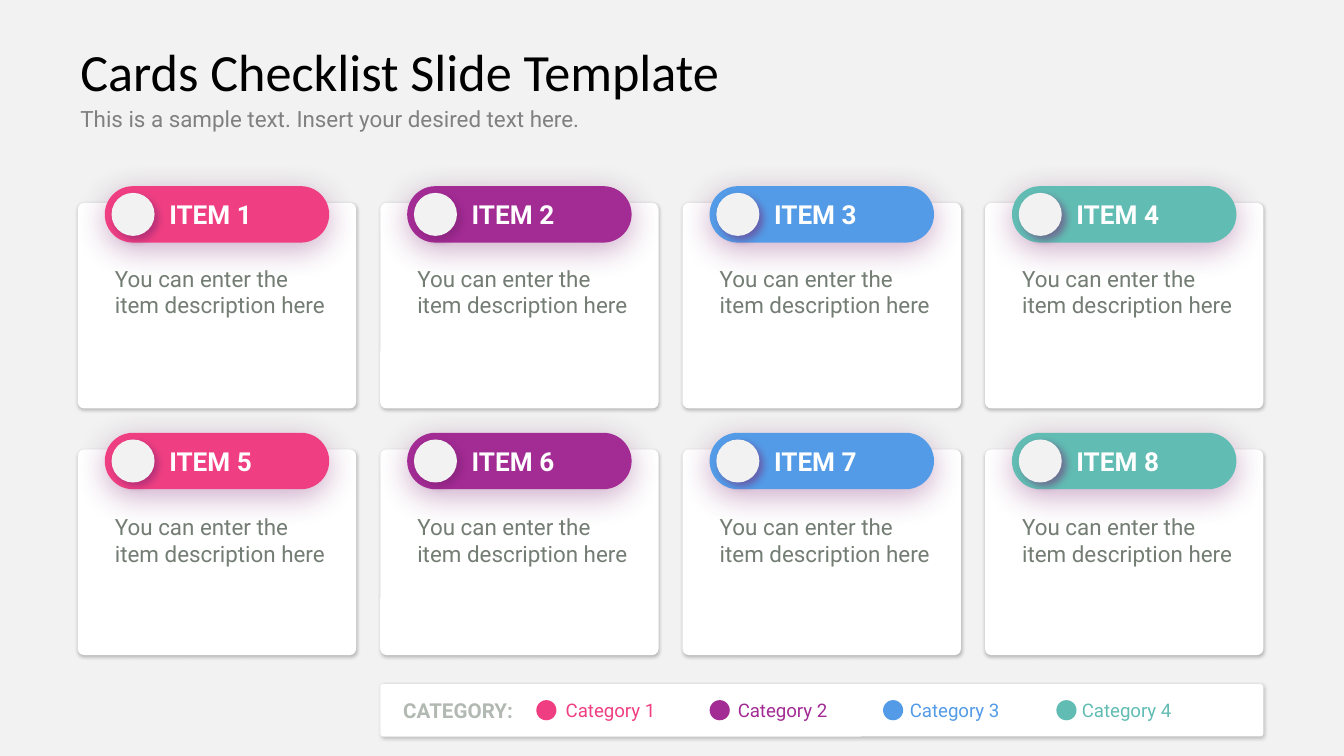
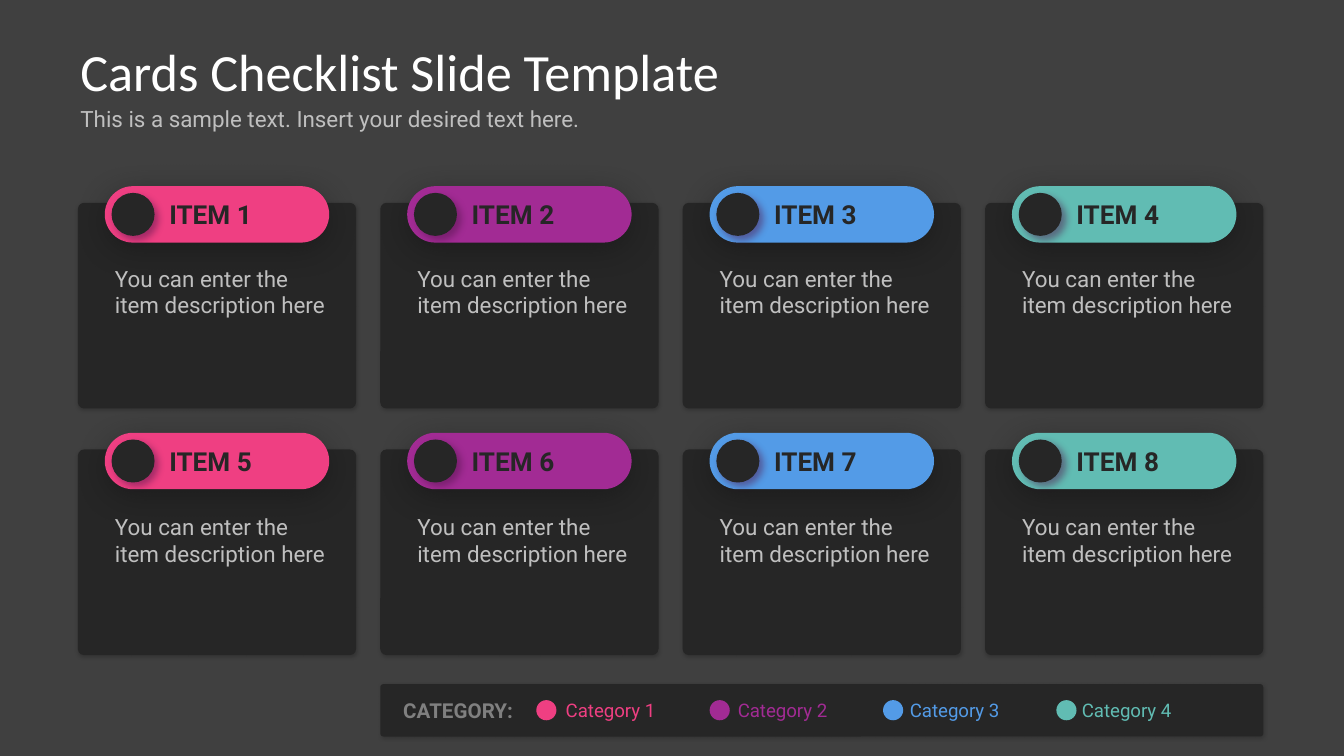
from dataclasses import dataclass

from lxml import etree
from pptx import Presentation
from pptx.dml.color import RGBColor
from pptx.enum.shapes import MSO_SHAPE
from pptx.enum.text import MSO_ANCHOR, MSO_AUTO_SIZE
from pptx.oxml.ns import qn
from pptx.util import Inches, Pt

ROUNDED = MSO_SHAPE.ROUNDED_RECTANGLE
CIRCLE = MSO_SHAPE.OVAL
TOP, MIDDLE = MSO_ANCHOR.TOP, MSO_ANCHOR.MIDDLE
GROW = MSO_AUTO_SIZE.SHAPE_TO_FIT_TEXT

BLACK = RGBColor(0x00, 0x00, 0x00)
INK = RGBColor(0x0D, 0x0D, 0x0D)
CHARCOAL = RGBColor(0x26, 0x26, 0x26)
DARK_GREY = RGBColor(0x40, 0x40, 0x40)
GREY = RGBColor(0x80, 0x80, 0x80)
SILVER = RGBColor(0xBF, 0xBF, 0xBF)
SAGE = RGBColor(0x74, 0x7D, 0x74)
PALE_SAGE = RGBColor(0xB2, 0xB8, 0xB2)
OFF_WHITE = RGBColor(0xF1, 0xF2, 0xF1)
WHITE = RGBColor(0xFF, 0xFF, 0xFF)
PLUM = RGBColor(0x7A, 0x20, 0x6F)
DARK_PLUM = RGBColor(0x51, 0x15, 0x4A)
PINK = RGBColor(0xEF, 0x3F, 0x82)
PURPLE = RGBColor(0xA2, 0x2B, 0x94)
BLUE = RGBColor(0x53, 0x9B, 0xE7)
TEAL = RGBColor(0x61, 0xBC, 0xB3)
CATEGORY_COLORS = (PINK, PURPLE, BLUE, TEAL)

TITLE_FONT = "Calibri"
BODY_FONT = "Roboto"

# The slide is a grid of 100 columns by 56.25 rows of square cells.
COLUMNS, ROWS = 100, 56.25
CELL = Inches(0.1)
CARD_LEFT, CARD_TOP = 5.8, 15.1
CARD_WIDTH, CARD_HEIGHT = 20.7, 15.3
CARD_STEP, CARD_DROP = 22.5, 18.35
DESCRIPTION_TOP, DESCRIPTION_DROP = 19.7, 18.5
LEGEND_TOP, LEGEND_LEFT = 50.9, CARD_LEFT + CARD_STEP


@dataclass
class Theme:
    background: RGBColor
    title: RGBColor
    subtitle: RGBColor
    card: RGBColor
    knob: RGBColor
    item: RGBColor
    description: RGBColor
    legend: RGBColor
    card_shadow: RGBColor
    pill_shadow: RGBColor
    knob_shadow: RGBColor


LIGHT = Theme(
    background=OFF_WHITE, title=BLACK, subtitle=GREY, card=WHITE,
    knob=OFF_WHITE, item=WHITE, description=SAGE, legend=PALE_SAGE,
    card_shadow=BLACK, pill_shadow=PLUM, knob_shadow=PLUM,
)
DARK = Theme(
    background=DARK_GREY, title=WHITE, subtitle=SILVER, card=CHARCOAL,
    knob=CHARCOAL, item=CHARCOAL, description=SILVER, legend=GREY,
    card_shadow=INK, pill_shadow=INK, knob_shadow=DARK_PLUM,
)


def cells(*lengths):
    return [round(length * CELL) for length in lengths]


def add_shadow(shape, color, opacity, blur, distance, angle):
    """Cast an outer shadow: opacity in percent, lengths in points, angle in degrees."""
    effects = shape.element.spPr.find(qn("a:effectLst"))
    shadow = etree.SubElement(
        effects, qn("a:outerShdw"), blurRad=str(Pt(blur)), dist=str(Pt(distance)),
        dir=str(angle * 60000), rotWithShape="0",
    )
    shade = etree.SubElement(shadow, qn("a:srgbClr"), val=str(color))
    etree.SubElement(shade, qn("a:alpha"), val=str(opacity * 1000))


class ChecklistSlide:
    def __init__(self, presentation, theme):
        self.theme = theme
        self.slide = presentation.slides.add_slide(presentation.slide_layouts[6])
        fill = self.slide.background.fill
        fill.solid()
        fill.fore_color.rgb = theme.background

    def shape(self, kind, box, color, corner=None, shadow=None):
        shape = self.slide.shapes.add_shape(kind, *cells(*box))
        if corner is not None:
            shape.adjustments[0] = corner
        shape.fill.solid()
        shape.fill.fore_color.rgb = color
        shape.line.fill.background()
        shape.shadow.inherit = False
        if shadow:
            add_shadow(shape, *shadow)

    def text(self, box, words, size, color, bold=False, font=BODY_FONT,
             margins=(0, 0), anchor=TOP):
        frame = self.slide.shapes.add_textbox(*cells(*box)).text_frame
        frame.word_wrap = True
        frame.vertical_anchor = anchor
        frame.margin_left = frame.margin_right = cells(margins[0])[0]
        frame.margin_top = frame.margin_bottom = cells(margins[1])[0]
        if margins == (0, 0):
            frame.auto_size = GROW
        frame.text = words
        style = frame.paragraphs[0].runs[0].font
        style.name, style.size, style.bold = font, Pt(size), bold
        style.color.rgb = color

    def heading(self, title, subtitle):
        self.text((5, 7.3, 66.7, 4.2), subtitle, 12, self.theme.subtitle,
                  margins=(1, 0.5))
        self.text((5, 2.3, 86.6, 5.9), title, 28, self.theme.title,
                  font=TITLE_FONT, margins=(1, 0.5), anchor=MIDDLE)

    def panel(self, box, corner):
        self.shape(ROUNDED, box, self.theme.card, corner,
                   (self.theme.card_shadow, 23, 2, 1, 70))

    def card(self, column, row, item, description):
        theme = self.theme
        left = CARD_LEFT + column * CARD_STEP
        top = CARD_TOP + row * CARD_DROP
        self.panel((left, top, CARD_WIDTH, CARD_HEIGHT), 0.03)
        self.shape(ROUNDED, (left + 2, top - 1.25, 16.7, 4.2),
                   CATEGORY_COLORS[column], 0.5,
                   (theme.pill_shadow, 37, 17, 4, 90))
        self.shape(CIRCLE, (left + 2.5, top - 0.75, 3.2, 3.2), theme.knob,
                   shadow=(theme.knob_shadow, 48, 4, 3, 45))
        self.text((left + 6.8, top - 0.3, 8, 2.4), item, 14, theme.item, bold=True)
        self.text((left + 2.75, DESCRIPTION_TOP + row * DESCRIPTION_DROP, 15.8, 4),
                  description, 12, theme.description)

    def legend(self, label):
        width = 3 * CARD_STEP - CARD_STEP + CARD_WIDTH
        self.panel((LEGEND_LEFT, LEGEND_TOP, width, 3.9), 0.06)
        self.text((LEGEND_LEFT + 1.7, LEGEND_TOP + 1, 8.7, 1.9), label, 11,
                  self.theme.legend, bold=True)
        for index, color in enumerate(CATEGORY_COLORS):
            self.shape(CIRCLE, (39.9 + 12.9 * index, LEGEND_TOP + 1.2, 1.5, 1.5), color)
            self.text((42.1 + 12.8 * index, LEGEND_TOP + 1.1, 7.6, 1.7),
                      f"Category {index + 1}", 10, color)


def main():
    presentation = Presentation()
    presentation.slide_width, presentation.slide_height = cells(COLUMNS, ROWS)
    for theme in (LIGHT, DARK):
        slide = ChecklistSlide(presentation, theme)
        slide.heading("Cards Checklist Slide Template",
                      "This is a sample text. Insert your desired text here.")
        for index in range(8):
            row, column = divmod(index, len(CATEGORY_COLORS))
            slide.card(column, row, f"ITEM {index + 1}",
                       "You can enter the item description here")
        slide.legend("CATEGORY:")
    presentation.save("out.pptx")


if __name__ == "__main__":
    main()
